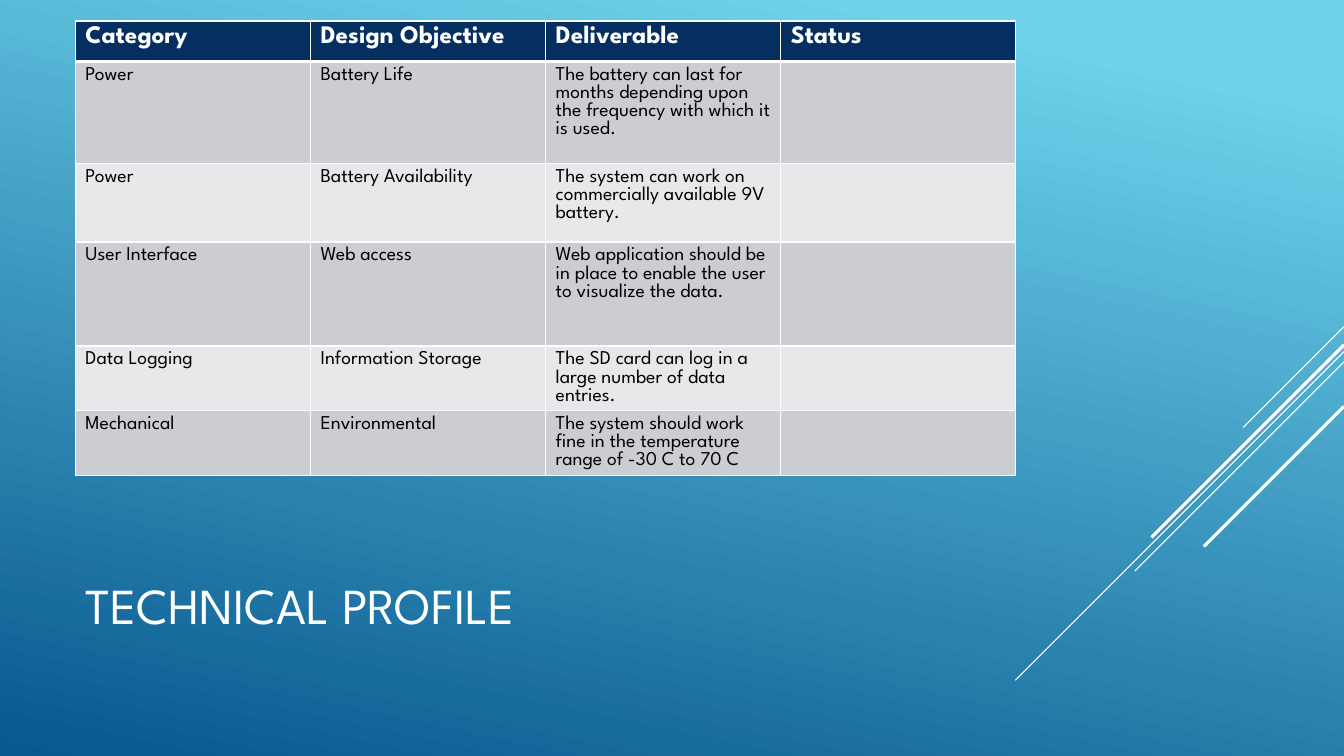
from dataclasses import dataclass

from lxml import etree
from pptx import Presentation
from pptx.dml.color import RGBColor
from pptx.enum.shapes import MSO_CONNECTOR
from pptx.enum.text import MSO_ANCHOR, PP_ALIGN
from pptx.oxml.ns import qn
from pptx.util import Cm, Pt

STRAIGHT = MSO_CONNECTOR.STRAIGHT
MIDDLE = MSO_ANCHOR.MIDDLE
LEFT = PP_ALIGN.LEFT
TITLE_ONLY = 5


@dataclass(frozen=True)
class Theme:
    """Colours, font and type sizes of the slide."""
    font: str = "League Spartan"
    white: str = "FFFFFF"
    black: str = "000000"
    sky: str = "6ED2EB"
    ocean: str = "06588E"
    header: str = "052F61"
    bands: tuple = ("CCCDD2", "E7E8EA")
    title_size: int = 36
    header_size: int = 18
    body_size: int = 14
    border: int = 1
    header_border: int = 3


THEME = Theme()
SLIDE_WIDTH, SLIDE_HEIGHT = 33.87, 19.05
MARGIN, CONTENT_WIDTH = 1.9, 23.7

# Diagonals from the right edge: top, horizontal run, line width in points
DIAGONALS = [
    (8.23, 2.54, 0.75),
    (8.86, 8.28, 0.75),
    (9.12, 5.27, 0.75),
    (8.69, 4.85, 2.25),
    (10.24, 3.53, 2.25),
]
ROW_HEIGHTS = [1.02, 2.57, 1.98, 2.62, 1, 1.02]
PROFILE = [
    ("Category ", "Design Objective", "Deliverable", "Status"),
    ("Power", "Battery Life",
     "The battery can last for months depending upon the frequency "
     "with which it is used.", ""),
    ("Power", "Battery Availability",
     "The system can work on commercially available 9V battery.", ""),
    ("User Interface", "Web access",
     "Web application should be in place to enable the user to "
     "visualize the data.", ""),
    ("Data Logging", "Information Storage",
     "The SD card can log in a large number of data entries.", ""),
    ("Mechanical", "Environmental",
     "The system should work fine in the temperature range of "
     "-30 C to 70 C", ""),
]


def rgb(value):
    """Turn a hex string into a colour."""
    return RGBColor.from_string(value)


def paint_background(page):
    """Fill the page with the diagonal blue gradient."""
    fill = page.background.fill
    fill.gradient()
    fill.gradient_angle = 258
    stops = ((0.1, THEME.sky), (1, THEME.ocean))
    for stop, (position, color) in zip(fill.gradient_stops, stops):
        stop.position = position
        stop.color.rgb = rgb(color)


def format_text(frame, size, color, bold=False):
    """Apply the theme font to every run in a text frame."""
    for para in frame.paragraphs:
        for span in para.runs:
            span.font.name = THEME.font
            span.font.size = Pt(size)
            span.font.bold = bold
            span.font.color.rgb = rgb(color)


def add_diagonal(page, top, run, width):
    """Draw a 45-degree line down and left from the right edge."""
    line = page.shapes.add_connector(
        STRAIGHT, Cm(SLIDE_WIDTH), Cm(top),
        Cm(SLIDE_WIDTH - run), Cm(top + run))
    line.line.color.rgb = rgb(THEME.white)
    line.line.width = Pt(width)
    etree.SubElement(line._element.spPr, qn("a:effectLst"))


def set_title(page, text):
    """Place and format the title placeholder."""
    title = page.shapes.title
    title.left, title.top = Cm(MARGIN), Cm(13.82)
    title.width, title.height = Cm(CONTENT_WIDTH), Cm(2.84)
    frame = title.text_frame
    frame.text = text
    frame.vertical_anchor = MIDDLE
    frame.paragraphs[0].alignment = LEFT
    format_text(frame, THEME.title_size, THEME.white)


def set_borders(cell, top, bottom):
    """Give a cell white borders; top and bottom are widths in points."""
    properties = cell._tc.get_or_add_tcPr()
    widths = {"L": THEME.border, "R": THEME.border, "T": top, "B": bottom}
    for side, width in widths.items():
        line = etree.SubElement(properties, qn(f"a:ln{side}"), w=str(Pt(width)))
        fill = etree.SubElement(line, qn("a:solidFill"))
        etree.SubElement(fill, qn("a:srgbClr"), val=THEME.white)


def fill_cell(cell, text, row):
    """Write one cell in the style of its row."""
    is_header = row == 0
    set_borders(cell,
                THEME.header_border if row == 1 else THEME.border,
                THEME.header_border if is_header else THEME.border)
    cell.fill.solid()
    cell.fill.fore_color.rgb = rgb(
        THEME.header if is_header else THEME.bands[(row - 1) % 2])
    cell.text_frame.text = text
    if is_header:
        format_text(cell.text_frame, THEME.header_size, THEME.white, bold=True)
    else:
        format_text(cell.text_frame, THEME.body_size, THEME.black)


def add_profile_table(page):
    """Add the table of design objectives."""
    frame = page.shapes.add_table(
        len(PROFILE), len(PROFILE[0]), Cm(MARGIN), Cm(0.53),
        Cm(CONTENT_WIDTH), Cm(sum(ROW_HEIGHTS)))
    table = frame.table
    for row, (height, texts) in enumerate(zip(ROW_HEIGHTS, PROFILE)):
        table.rows[row].height = Cm(height)
        for column, text in enumerate(texts):
            fill_cell(table.cell(row, column), text, row)


def main():
    """Build the slide and save it."""
    deck = Presentation()
    deck.slide_width, deck.slide_height = Cm(SLIDE_WIDTH), Cm(SLIDE_HEIGHT)
    page = deck.slides.add_slide(deck.slide_layouts[TITLE_ONLY])
    paint_background(page)
    for diagonal in DIAGONALS:
        add_diagonal(page, *diagonal)
    set_title(page, "TECHNICAL PROFILE")
    add_profile_table(page)
    deck.save("out.pptx")


main()
